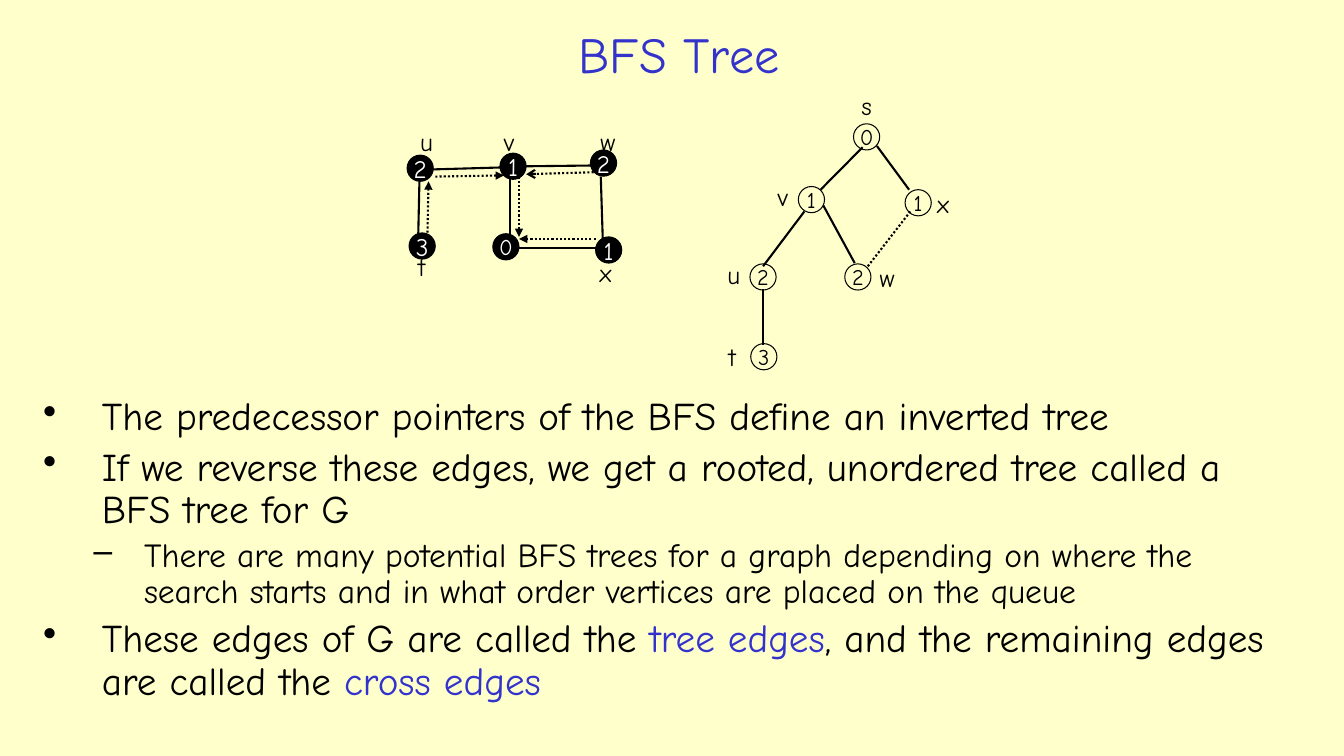
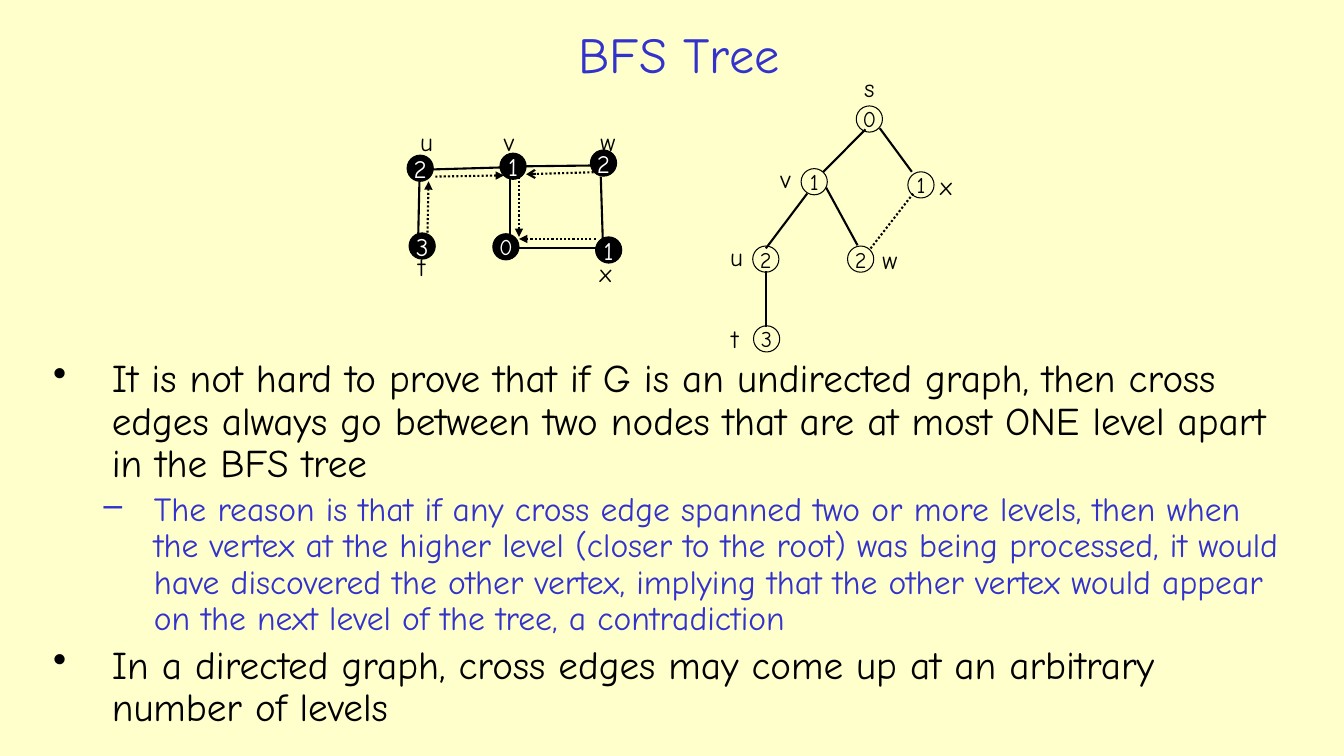
from dataclasses import dataclass

from lxml.etree import SubElement
from pptx import Presentation
from pptx.dml.color import RGBColor
from pptx.enum.dml import MSO_LINE
from pptx.enum.shapes import MSO_CONNECTOR, MSO_SHAPE
from pptx.enum.text import MSO_ANCHOR, PP_ALIGN
from pptx.oxml.ns import qn
from pptx.util import Cm, Pt


@dataclass(frozen=True)
class Theme:
    font: str = "Comic Neue"
    paper: RGBColor = RGBColor(0xFF, 0xFF, 0xCC)
    ink: RGBColor = RGBColor(0, 0, 0)
    accent: RGBColor = RGBColor(0x33, 0x33, 0xCC)
    white: RGBColor = RGBColor(0xFF, 0xFF, 0xFF)
    title_size: int = 36
    label_size: int = 18
    small_size: int = 16
    node_line: float = 0.75
    edge_line: float = 1.5


THEME = Theme()

# Body levels: text size, bullet, left indent and hanging indent in cm
LEVELS = (
    {"size": 28, "bullet": "•", "left": 1.48, "hanging": 1.48},
    {"size": 24, "bullet": "–", "left": 2.54, "hanging": 1.27},
)

# Slide content; lengths in cm, each paragraph is a level and its (text, colour) spans
TITLE = "BFS Tree"
TITLE_AREA = (5, 0.38, 24.23, 1.93)
SLIDES = (
    {
        "tree_shift": (0, 0),
        "body_area": (0.84, 9.88, 32.03, 8.53),
        "body": [
            (0, [("The predecessor pointers of the BFS define an inverted tree", THEME.ink)]),
            (0, [("If we reverse these edges, we get a rooted, unordered tree called a "
                  "BFS tree for G", THEME.ink)]),
            (1, [("There are many potential BFS trees for a graph depending on where the "
                  "search starts and in what order vertices are placed on the queue",
                  THEME.ink)]),
            (0, [("These edges of G are called the ", THEME.ink),
                 ("tree edges", THEME.accent),
                 (", and the remaining edges are called the ", THEME.ink),
                 ("cross edges", THEME.accent)]),
        ],
    },
    {
        "tree_shift": (0.07, -0.45),
        "body_area": (1.09, 8.92, 31.55, 9.5),
        "body": [
            (0, [("It is not hard to prove that if G is an undirected graph, then cross "
                  "edges always go between two nodes that are at most ONE level apart "
                  "in the BFS tree", THEME.ink)]),
            (1, [("The reason is that if any cross edge spanned two or more levels, then "
                  "when the vertex at the higher level (closer to the root) was being "
                  "processed, it would have discovered the other vertex, implying that the "
                  "other vertex would appear on the next level of the tree, a contradiction",
                  THEME.accent)]),
            (0, [("In a directed graph, cross edges may come up at an arbitrary number "
                  "of levels", THEME.ink)]),
        ],
    },
)

# Diagrams: nodes (distance, left, top, size), labels (name, left, top),
# lines (x1, y1, x2, y2), pointers with an arrowhead at their end
NODE_DIAMETER = 0.66
LABEL_HEIGHT = 1.02
LABEL_WIDTHS = {"s": 0.81, "t": 0.81, "u": 0.84, "v": 0.81, "w": 0.94, "x": 0.89}
GRAPH = {
    "fill": THEME.ink,
    "text_color": THEME.white,
    "nodes": [("3", 10.31, 5.87, THEME.label_size), ("1", 12.6, 3.86, THEME.label_size),
              ("2", 10.26, 3.91, THEME.label_size), ("2", 14.88, 3.78, THEME.label_size),
              ("1", 15.01, 5.97, THEME.label_size), ("0", 12.42, 5.89, THEME.small_size)],
    "labels": [("t", 10.29, 6.22), ("x", 14.86, 6.35), ("w", 14.88, 3.05),
               ("v", 12.45, 3.07), ("u", 10.34, 3.07)],
    "edges": [(10.9, 4.27, 12.62, 4.22), (13.26, 4.19, 14.96, 4.17),
              (13.08, 6.25, 15.01, 6.25), (10.57, 4.57, 10.54, 5.97),
              (15.14, 4.45, 15.19, 6.02), (12.85, 4.45, 12.85, 5.97)],
    "dotted": [((13.08, 4.45, 13.08, 5.97), "triangle"),
               ((15.01, 6.02, 13.08, 6.02), "triangle"),
               ((10.97, 4.45, 12.7, 4.42), "triangle"),
               ((14.96, 4.34, 13.26, 4.39), "arrow"),
               ((10.77, 5.97, 10.8, 4.57), "triangle")],
}
TREE = {
    "fill": None,
    "text_color": THEME.ink,
    "nodes": [(distance, left, top, THEME.small_size) for distance, left, top in (
        ("0", 21.51, 3.12), ("1", 20.12, 4.7), ("1", 22.81, 4.78),
        ("2", 21.29, 6.65), ("2", 18.9, 6.65), ("3", 18.92, 8.66))],
    "labels": [("s", 21.46, 2.16), ("v", 19.35, 4.45), ("x", 23.37, 4.62),
               ("u", 18.08, 6.4), ("t", 18.11, 8.48), ("w", 21.92, 6.48)],
    "edges": [(20.68, 4.78, 21.74, 3.71), (19.23, 6.71, 20.27, 5.33),
              (21.54, 6.63, 20.75, 5.18), (19.23, 8.69, 19.23, 7.29),
              (22.91, 4.78, 22.1, 3.68)],
    "dotted": [((21.87, 6.71, 22.94, 5.33), None)],
}


# Text
def write(para, text, *, size, color=THEME.ink, align=None):
    """Append one formatted span to a paragraph."""
    if align is not None:
        para.alignment = align
    span = para.add_run()
    span.text = text
    span.font.name = THEME.font
    span.font.size = Pt(size)
    span.font.color.rgb = color


def add_box(page, area, wrap=True):
    box = page.shapes.add_textbox(*map(Cm, area))
    box.text_frame.word_wrap = wrap
    return box.text_frame


def add_title(page):
    frame = add_box(page, TITLE_AREA)
    frame.vertical_anchor = MSO_ANCHOR.MIDDLE
    write(frame.paragraphs[0], TITLE, size=THEME.title_size, color=THEME.accent,
          align=PP_ALIGN.CENTER)


def add_body(page, area, paragraphs):
    frame = add_box(page, area)
    for index, (level, spans) in enumerate(paragraphs):
        para = frame.paragraphs[0] if index == 0 else frame.add_paragraph()
        style = LEVELS[level]
        properties = para._p.get_or_add_pPr()
        properties.set("marL", str(Cm(style["left"])))
        properties.set("indent", str(-Cm(style["hanging"])))
        SubElement(properties, qn("a:buChar")).set("char", style["bullet"])
        para.level = level
        para.line_spacing = 0.9
        if index:
            para.space_before = Pt(style["size"] * 0.2)
        for text, color in spans:
            write(para, text, size=style["size"], color=color)


# Diagram parts
def add_edge(page, ends, dotted=False, arrow=None):
    edge = page.shapes.add_connector(MSO_CONNECTOR.STRAIGHT, *map(Cm, ends))
    edge.line.color.rgb = THEME.ink
    edge.line.width = Pt(THEME.edge_line)
    if dotted:
        edge.line.dash_style = MSO_LINE.ROUND_DOT
    if arrow:
        SubElement(edge.line._get_or_add_ln(), qn("a:tailEnd")).set("type", arrow)
    SubElement(edge._element.spPr, qn("a:effectLst"))


def add_node(page, distance, left, top, size, fill, color):
    node = page.shapes.add_shape(MSO_SHAPE.OVAL, Cm(left), Cm(top),
                                 Cm(NODE_DIAMETER), Cm(NODE_DIAMETER))
    node.shadow.inherit = False
    if fill is None:
        node.fill.background()
    else:
        node.fill.solid()
        node.fill.fore_color.rgb = fill
    node.line.color.rgb = THEME.ink
    node.line.width = Pt(THEME.node_line)
    frame = node.text_frame
    frame.word_wrap = False
    frame.vertical_anchor = MSO_ANCHOR.MIDDLE
    frame.margin_left = frame.margin_right = frame.margin_top = frame.margin_bottom = 0
    write(frame.paragraphs[0], distance, size=size, color=color, align=PP_ALIGN.CENTER)


def add_diagram(page, diagram, shift=(0, 0)):
    right, down = shift

    def moved(ends):
        x1, y1, x2, y2 = ends
        return x1 + right, y1 + down, x2 + right, y2 + down

    for ends in diagram["edges"]:
        add_edge(page, moved(ends))
    for name, left, top in diagram["labels"]:
        area = (left + right, top + down, LABEL_WIDTHS[name], LABEL_HEIGHT)
        frame = add_box(page, area, wrap=False)
        write(frame.paragraphs[0], name, size=THEME.label_size)
    for distance, left, top, size in diagram["nodes"]:
        add_node(page, distance, left + right, top + down, size,
                 diagram["fill"], diagram["text_color"])
    for ends, arrow in diagram["dotted"]:
        add_edge(page, moved(ends), dotted=True, arrow=arrow)


# Deck
def main():
    deck = Presentation()
    deck.slide_width, deck.slide_height = Cm(33.87), Cm(19.05)
    background = deck.slide_master.background.fill
    background.solid()
    background.fore_color.rgb = THEME.paper
    for content in SLIDES:
        page = deck.slides.add_slide(deck.slide_layouts[6])
        add_title(page)
        add_diagram(page, GRAPH)
        add_diagram(page, TREE, content["tree_shift"])
        add_body(page, content["body_area"], content["body"])
    deck.save("out.pptx")


if __name__ == "__main__":
    main()
